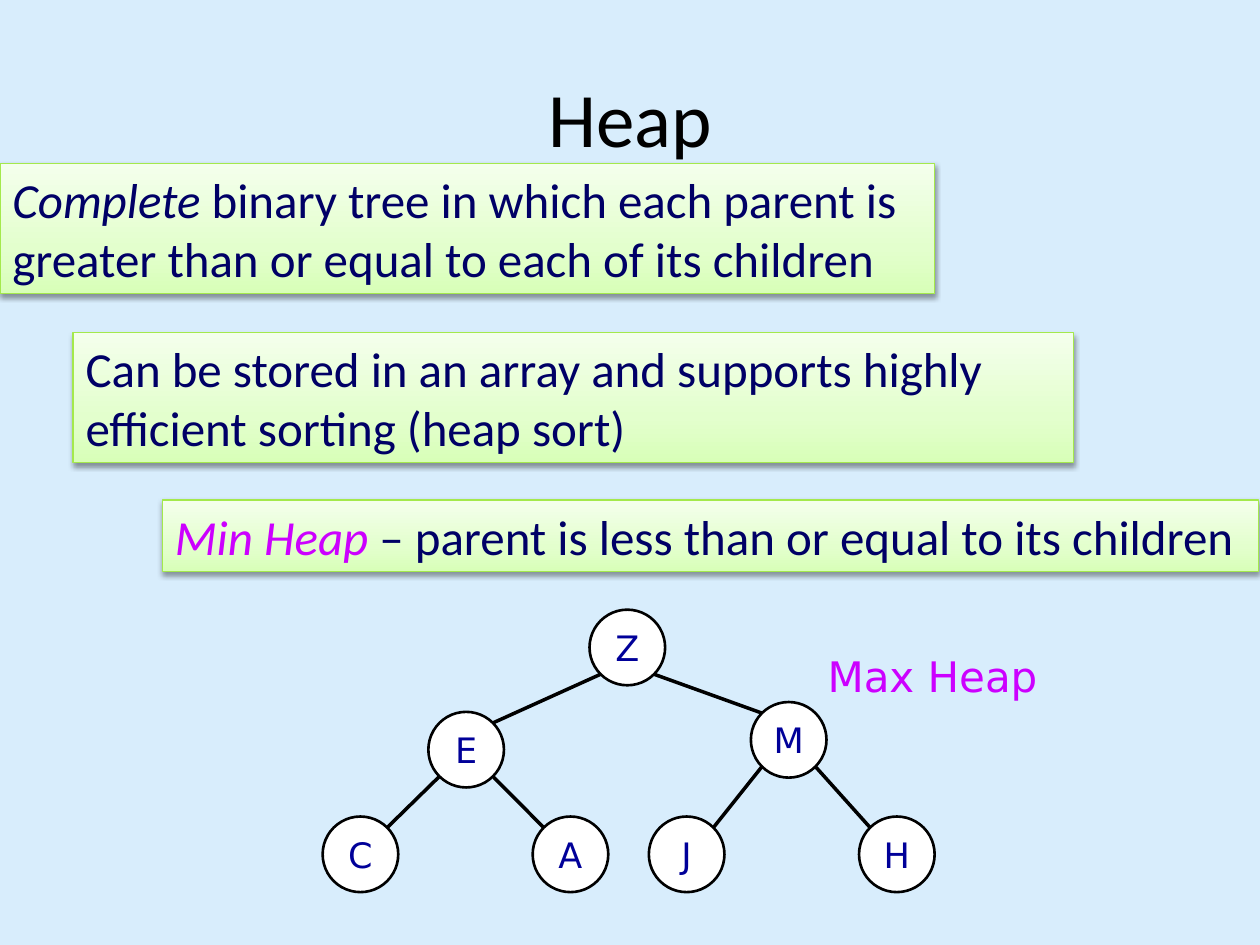
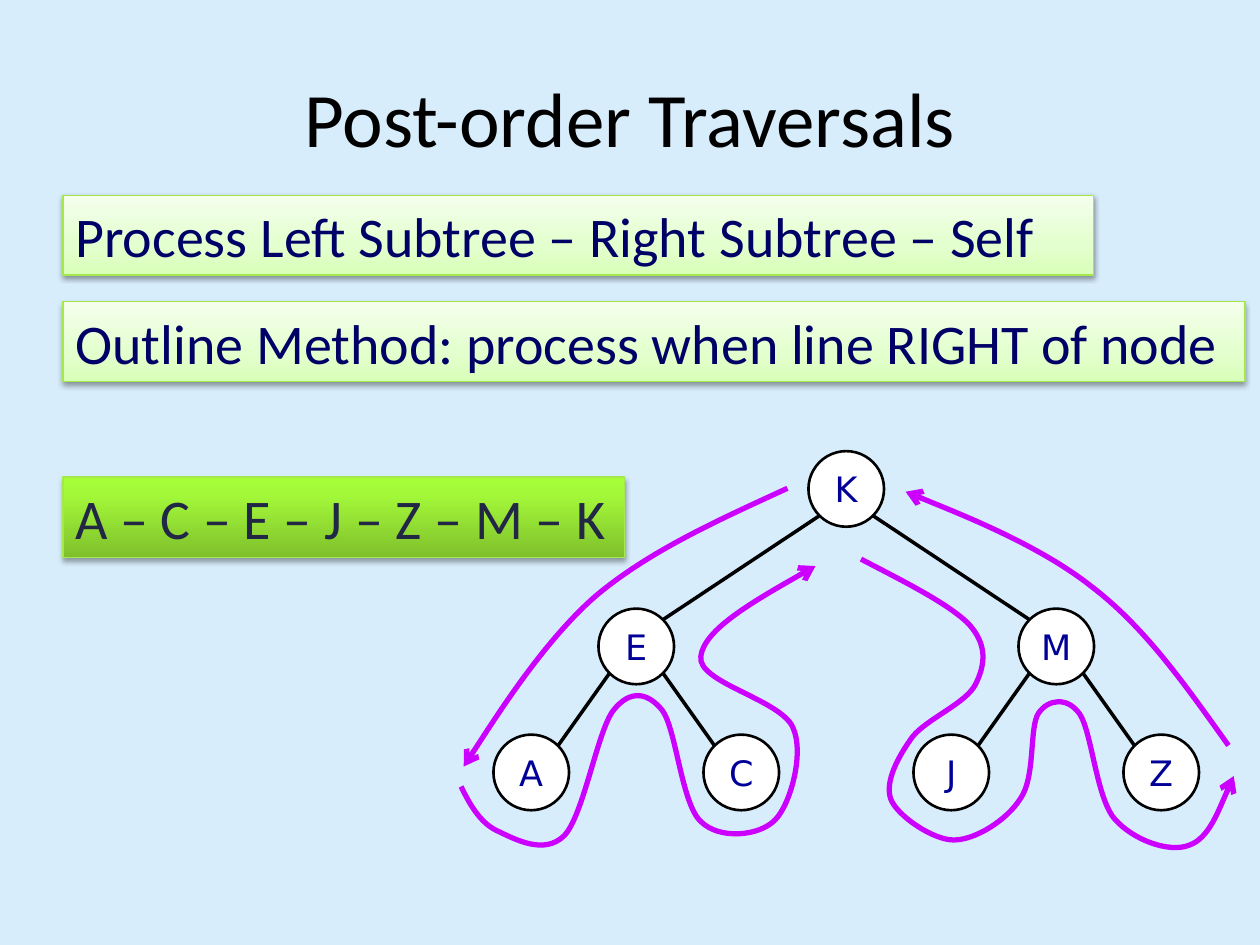
from dataclasses import dataclass
from lxml.etree import SubElement
from pptx import Presentation
from pptx.dml.color import RGBColor
from pptx.enum.shapes import MSO_CONNECTOR, MSO_SHAPE
from pptx.enum.text import MSO_ANCHOR, PP_ALIGN
from pptx.oxml.ns import qn
from pptx.util import Pt


@dataclass(frozen=True)
class Theme:
    background: str = "D8EDFC"
    ink: str = "000000"
    white: str = "FFFFFF"
    body: str = "000066"
    answer: str = "212745"
    key: str = "000099"
    accent: str = "CC00FF"
    box_line: str = "A4E94C"
    # Gradient stops run from the bottom of a box to its top
    pale: tuple = ((0, "D8FFB8"), (35, "E3FFCD"), (100, "F4FFEC"))
    bright: tuple = ((0, "7FC02C"), (80, "A4F939"), (100, "A6FE36"))
    font: str = "Calibri"
    tree_font: str = "DejaVu Sans"
    title_size: int = 44
    large: int = 32
    medium: int = 28
    label: int = 24
    node: int = 20


THEME = Theme()
RADIUS = 21.6
EDGE_OFFSET = 15.3  # from a node's centre to its rim at 45 degrees

# Outline paths: a start point, then three points for each Bezier segment
DOWN_LEFT_SIDE = [
    (450, 279), (411, 297), (371.5, 314.5), (340.5, 340.5),
    (310, 367), (265, 438), (265, 438)]
UP_RIGHT_SIDE = [
    (702, 426), (678, 392.5), (654.5, 358.5), (623.5, 335),
    (592.5, 310.5), (517.5, 281), (517.5, 281)]
AROUND_LEFT_SUBTREE = [
    (263.5, 449.5), (268.5, 460), (274.5, 470), (283.5, 474.5),
    (294, 479.5), (311, 489), (322.5, 477.5),
    (333.5, 466), (341.5, 417.5), (350.5, 406),
    (360, 394), (370, 395.5), (378.5, 406),
    (386.5, 417), (389.5, 459.5), (400.5, 469.5),
    (411, 480), (434, 478), (443, 468.5),
    (451.5, 460), (460, 430.5), (453, 415.5),
    (445.5, 399.5), (398, 390), (400.5, 375),
    (402.5, 360), (434, 341.5), (466, 323.5)]
AROUND_RIGHT_SUBTREE = [
    (492, 319.5), (517, 332.5), (542, 345), (553.5, 356.5),
    (564.5, 368.5), (563, 380), (557.5, 391),
    (552, 402), (530, 410.5), (521.5, 421),
    (513.5, 432), (505.5, 446.5), (509, 456.5),
    (512.5, 466), (533, 480), (545, 480),
    (557.5, 480), (575.5, 468.5), (583, 456.5),
    (592, 444), (588, 415.5), (593.5, 407.5),
    (599, 399.5), (610, 398), (617, 408),
    (624, 418.5), (626.5, 456), (637, 468),
    (647.5, 480), (668, 487.5), (679.5, 483),
    (691, 479), (705, 443.5), (705, 443.5)]


def rgb(color):
    return RGBColor.from_string(color)


def style(r, size, color, font=THEME.font, italic=False):
    r.font.name, r.font.size, r.font.italic = font, Pt(size), italic
    r.font.color.rgb = rgb(color)


def set_line(sp, color, width):
    sp.line.color.rgb = rgb(color)
    sp.line.width = Pt(width)


def add_slide(prs, title):
    slide = prs.slides.add_slide(prs.slide_layouts[5])
    sp = slide.shapes.title
    sp.left, sp.top, sp.width, sp.height = Pt(36), Pt(21.6), Pt(648), Pt(90)
    tf = sp.text_frame
    tf.text = title
    tf.vertical_anchor = MSO_ANCHOR.MIDDLE
    p = tf.paragraphs[0]
    p.alignment = PP_ALIGN.CENTER
    style(p.runs[0], THEME.title_size, THEME.ink)
    return slide


def set_gradient(sp, stops):
    sp.fill.gradient()
    sp.fill.gradient_angle = 90
    stop_list = sp._element.spPr.find(".//" + qn("a:gsLst"))
    for old in list(stop_list):
        stop_list.remove(old)
    for position, color in stops:
        gs = SubElement(stop_list, qn("a:gs"), pos=str(position * 1000))
        SubElement(gs, qn("a:srgbClr"), val=color)


def set_shadow(sp, opacity):
    sp.shadow.inherit = False
    effects = sp._element.spPr.find(qn("a:effectLst"))
    shadow = SubElement(effects, qn("a:outerShdw"), blurRad=str(Pt(3.1)),
                        dist=str(Pt(1.6)), dir="5400000", rotWithShape="0")
    color = SubElement(shadow, qn("a:srgbClr"), val=THEME.ink)
    SubElement(color, qn("a:alpha"), val=str(opacity * 1000))


def add_box(slide, left, top, width, height, runs, size,
            stops=THEME.pale, opacity=38, wrap=True):
    """Shaded box; runs are (text, colour, italic) triples."""
    sp = slide.shapes.add_shape(MSO_SHAPE.RECTANGLE, Pt(left), Pt(top),
                                Pt(width), Pt(height))
    set_gradient(sp, stops)
    set_line(sp, THEME.box_line, 0.75)
    set_shadow(sp, opacity)
    tf = sp.text_frame
    tf.word_wrap = wrap
    tf.vertical_anchor = MSO_ANCHOR.TOP
    p = tf.paragraphs[0]
    p.alignment = PP_ALIGN.LEFT
    for text, color, italic in runs:
        r = p.add_run()
        r.text = text
        style(r, size, color, italic=italic)


def add_label(slide, left, top, width, height, text):
    tf = slide.shapes.add_textbox(Pt(left), Pt(top), Pt(width),
                                  Pt(height)).text_frame
    tf.word_wrap = True
    tf.text = text
    style(tf.paragraphs[0].runs[0], THEME.label, THEME.accent, THEME.tree_font)


def add_node(slide, key, x, y):
    sp = slide.shapes.add_shape(MSO_SHAPE.OVAL, Pt(x - RADIUS), Pt(y - RADIUS),
                                Pt(2 * RADIUS), Pt(2 * RADIUS))
    sp.shadow.inherit = False
    sp.fill.solid()
    sp.fill.fore_color.rgb = rgb(THEME.white)
    set_line(sp, THEME.ink, 1.5)
    tf = sp.text_frame
    tf.text = key
    tf.word_wrap = False
    tf.vertical_anchor = MSO_ANCHOR.MIDDLE
    p = tf.paragraphs[0]
    p.alignment = PP_ALIGN.CENTER
    style(p.runs[0], THEME.node, THEME.key, THEME.tree_font)


def add_edge(slide, parent, child):
    side = EDGE_OFFSET if child[0] > parent[0] else -EDGE_OFFSET
    line = slide.shapes.add_connector(
        MSO_CONNECTOR.STRAIGHT,
        Pt(parent[0] + side), Pt(parent[1] + EDGE_OFFSET),
        Pt(child[0] - side), Pt(child[1] - EDGE_OFFSET))
    set_line(line, THEME.ink, 2)
    SubElement(line._element.spPr, qn("a:effectLst"))


def add_tree(slide, keys, centres):
    """Binary tree in level order: node i hangs from node (i - 1) // 2."""
    for key, (x, y) in zip(keys, centres):
        add_node(slide, key, x, y)
    for i in range(1, len(centres)):
        add_edge(slide, centres[(i - 1) // 2], centres[i])


def add_curve_arrow(slide, points):
    start, *rest = [(Pt(x), Pt(y)) for x, y in points]
    builder = slide.shapes.build_freeform(*start)
    builder.add_line_segments(rest, close=False)
    sp = builder.convert_to_shape()
    sp.shadow.inherit = False
    sp.fill.background()
    set_line(sp, THEME.accent, 3)
    SubElement(sp.line._get_or_add_ln(), qn("a:tailEnd"), type="arrow")
    # Turn each three straight steps into one Bezier segment
    outline = sp._element.spPr.find(".//" + qn("a:path"))
    steps = outline.findall(qn("a:lnTo"))
    for i in range(0, len(steps), 3):
        curve = SubElement(outline, qn("a:cubicBezTo"))
        for step in steps[i:i + 3]:
            curve.append(step[0])
            outline.remove(step)


def heap_slide(prs):
    slide = add_slide(prs, "Heap")
    add_tree(slide, "ZEMCAJH",
             [(358.5, 370), (266.4, 428.4), (450.7, 422.8),
              (206, 488.2), (326, 488.2), (392.4, 488.2), (512.5, 488.2)])
    add_label(slide, 465.8, 367.9, 157.7, 36, "Max Heap")
    add_box(slide, 0, 93.6, 534.2, 74.2,
            [("Complete", THEME.body, True),
             (" binary tree in which each parent is greater than or equal "
              "to each of its children", THEME.body, False)], THEME.medium)
    add_box(slide, 41.8, 190.1, 571.7, 74.2,
            [("Can be stored in an array and supports highly efficient "
              "sorting (heap sort)", THEME.body, False)], THEME.medium)
    add_box(slide, 92.9, 285.8, 626.4, 41,
            [("Min Heap ", THEME.accent, True),
             ("– parent is less than or equal to its children",
              THEME.body, False)], THEME.medium, wrap=False)


def traversal_slide(prs):
    slide = add_slide(prs, "Post-order Traversals")
    root_x, root_y = 483.6, 279.4
    inner = [(root_x + dx, root_y + 90) for dx in (-120, 120)]
    leaves = [(x + dx, y + 72) for x, y in inner for dx in (-60, 60)]
    add_tree(slide, "KEMACJZ", [(root_x, root_y)] + inner + leaves)
    add_box(slide, 36, 111.6, 589, 45.6,
            [("Process Left Subtree – Right Subtree – Self",
              THEME.body, False)], THEME.large)
    add_box(slide, 36, 172.5, 675.4, 45.6,
            [("Outline Method: process when line RIGHT of node",
              THEME.body, False)], THEME.large, wrap=False)
    add_box(slide, 36, 272.6, 321.1, 46,
            [("A – C – E – J – Z – M – K", THEME.answer, False)],
            THEME.large, THEME.bright, 35, wrap=False)
    for points in (DOWN_LEFT_SIDE, UP_RIGHT_SIDE,
                   AROUND_LEFT_SUBTREE, AROUND_RIGHT_SUBTREE):
        add_curve_arrow(slide, points)


def main():
    prs = Presentation()
    prs.slide_width, prs.slide_height = Pt(720), Pt(540)
    fill = prs.slide_master.background.fill
    fill.solid()
    fill.fore_color.rgb = rgb(THEME.background)
    heap_slide(prs)
    traversal_slide(prs)
    prs.save("out.pptx")


if __name__ == "__main__":
    main()
